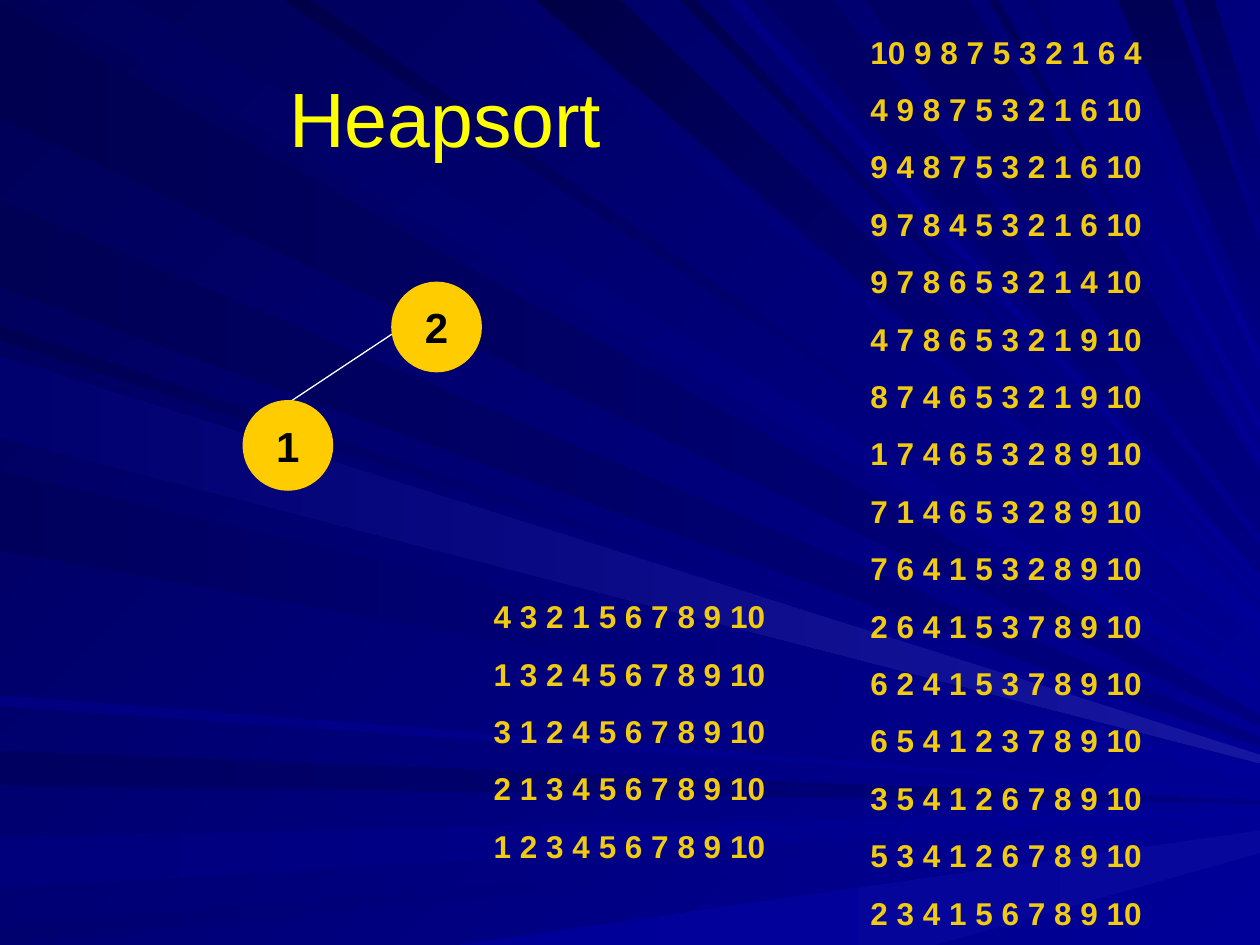
from lxml.etree import SubElement
from pptx import Presentation
from pptx.dml.color import RGBColor
from pptx.enum.shapes import MSO_CONNECTOR, MSO_SHAPE
from pptx.enum.text import MSO_ANCHOR, MSO_AUTO_SIZE, PP_ALIGN
from pptx.oxml.ns import qn
from pptx.util import Inches, Pt

FONT = "Arial"
WIDTH, HEIGHT = 10, 7.5
SCALE = Inches(0.01)

# Rays start on an edge of the slide and narrow towards a focus right of it.
FOCUS = {"left": (11.3, 6.4), "top": (11.6, 6.4), "bottom": (11.3, 6.4)}

# Each ray: edge, where it starts and ends along that edge, near and far colour.
RAYS = [
    ("left", 0.02, 0.93, "000080", "000051"),
    ("top", 0.26, 1.01, "000099", "00005C"),
    ("left", 5.96, 6.23, "000080", "000060"),
    ("left", 6.65, 7.04, "000099", "00007C"),
    ("left", 7.35, 7.5, "000099", "00006E"),
    ("bottom", 3.64, 7.42, "07079B", "000099"),
    ("left", 2.58, 2.7, "000099", "000053"),
    ("left", 1.59, 2.28, "000080", "000055"),
    ("top", 3.98, 4.16, "000099", "00006A"),
    ("top", 4.26, 4.92, "000099", "000046"),
    ("top", 5.4, 5.52, "000099", "00004E"),
    ("top", 6.06, 6.61, "000080", "000064"),
    ("top", 8.87, 9.3, "000080", "000055"),
    ("top", 9.39, 9.64, "000080", "000059"),
    ("left", 2.78, 3.42, "000099", "000060"),
    ("left", 3.74, 4.37, "000099", "00005C"),
    ("left", 5.52, 5.6, "000099", "000081"),
    ("top", 2.25, 2.47, "000099", "00004A"),
    ("top", 5.77, 5.88, "000099", "000081"),
    ("top", 6.86, 7.7, "000080", "000064"),
    ("top", 7.85, 7.92, "000099", "000057"),
    ("top", 8.15, 8.24, "000099", "00006E"),
    ("top", 8.65, 8.72, "000099", "000078"),
    ("left", 2.83, 3.47, "1616A1", "00006E"),
]

FIRST_STEPS = [
    "10 9 8 7 5 3 2 1 6 4",
    "4 9 8 7 5 3 2 1 6 10",
    "9 4 8 7 5 3 2 1 6 10",
    "9 7 8 4 5 3 2 1 6 10",
    "9 7 8 6 5 3 2 1 4 10",
    "4 7 8 6 5 3 2 1 9 10",
    "8 7 4 6 5 3 2 1 9 10",
    "1 7 4 6 5 3 2 8 9 10",
    "7 1 4 6 5 3 2 8 9 10",
    "7 6 4 1 5 3 2 8 9 10",
    "2 6 4 1 5 3 7 8 9 10",
    "6 2 4 1 5 3 7 8 9 10",
    "6 5 4 1 2 3 7 8 9 10",
    "3 5 4 1 2 6 7 8 9 10",
    "5 3 4 1 2 6 7 8 9 10",
    "2 3 4 1 5 6 7 8 9 10",
]
LAST_STEPS = [
    "4 3 2 1 5 6 7 8 9 10",
    "1 3 2 4 5 6 7 8 9 10",
    "3 1 2 4 5 6 7 8 9 10",
    "2 1 3 4 5 6 7 8 9 10",
    "1 2 3 4 5 6 7 8 9 10",
]


def color(hex_string):
    return RGBColor.from_string(hex_string)


def paint(fill, start, end=None, angle=0):
    """Fill with one colour, or with a gradient running at an anticlockwise angle."""
    if end is None:
        fill.solid()
        fill.fore_color.rgb = color(start)
        return
    fill.gradient()
    fill.gradient_angle = angle
    for stop, hex_string in zip(fill.gradient_stops, (start, end)):
        stop.color.rgb = color(hex_string)


def write(text_frame, lines, size, hex_string, bold=False, align=PP_ALIGN.LEFT,
          anchor=MSO_ANCHOR.TOP, space_before=0):
    text_frame.text = "\n".join(lines)
    text_frame.vertical_anchor = anchor
    text_frame.word_wrap = True
    for index, paragraph in enumerate(text_frame.paragraphs):
        paragraph.alignment = align
        if index and space_before:
            paragraph.space_before = Pt(space_before)
        font = paragraph.font
        font.name, font.size, font.bold = FONT, Pt(size), bold
        font.color.rgb = color(hex_string)


def ray_side(edge, position):
    """Start of one side of a ray, and the point where it leaves on the right."""
    x, y = {"left": (0, position), "top": (position, 0), "bottom": (position, HEIGHT)}[edge]
    focus_x, focus_y = FOCUS[edge]
    end_y = y + (focus_y - y) * (WIDTH - x) / (focus_x - x)
    return [(x * 100, y * 100), (WIDTH * 100, end_y * 100)]


def add_ray(shapes, edge, first, last, near, far):
    start, *others = ray_side(edge, first) + ray_side(edge, last)[::-1]
    builder = shapes.build_freeform(*start, scale=SCALE)
    builder.add_line_segments(others, close=True)
    ray = builder.convert_to_shape()
    if edge != "top":
        paint(ray.fill, near, far, 180)
    elif near == "000080":
        paint(ray.fill, far, near, 270)
    else:
        paint(ray.fill, near, far, 135)
    ray.line.fill.background()
    ray.shadow.inherit = False


def add_background(slide):
    paint(slide.background.fill, "000099", "000057", 135)
    rays = slide.shapes.add_group_shape()
    for ray in RAYS:
        add_ray(rays.shapes, *ray)
    slide.shapes.element.insert(2, rays.element)  # behind the title


def add_title(slide, text, left, top, width, height):
    title = slide.shapes.title
    title.left, title.top = Inches(left), Inches(top)
    title.width, title.height = Inches(width), Inches(height)
    write(title.text_frame, [text], 44, "FFFF00", align=PP_ALIGN.CENTER,
          anchor=MSO_ANCHOR.MIDDLE)


def add_steps(slide, steps, left, top, width, height):
    box = slide.shapes.add_textbox(Inches(left), Inches(top), Inches(width), Inches(height))
    write(box.text_frame, steps, 18, "F0CB10", bold=True, space_before=11.2)
    box.text_frame.auto_size = MSO_AUTO_SIZE.SHAPE_TO_FIT_TEXT


def add_node(slide, label, left, top, diameter):
    node = slide.shapes.add_shape(MSO_SHAPE.OVAL, Inches(left), Inches(top),
                                  Inches(diameter), Inches(diameter))
    paint(node.fill, "FFCC00")
    paint(node.line.fill, "FFCC00")
    node.line.width = Pt(0.75)
    node.shadow.inherit = False
    write(node.text_frame, [label], 24, "000000", bold=True, align=PP_ALIGN.CENTER,
          anchor=MSO_ANCHOR.MIDDLE)


def add_heap(slide, parent, child, left, top, width, height, diameter=0.71):
    """Parent node in the top right corner of the box, left child in the bottom left."""
    parent_left = left + width - diameter
    child_top = top + height - diameter
    edge = slide.shapes.add_connector(
        MSO_CONNECTOR.STRAIGHT, Inches(parent_left), Inches(top + height / 4),
        Inches(left + diameter / 2), Inches(child_top + 0.02))
    paint(edge.line.fill, "FFFFFF")
    edge.line.width = Pt(0.75)
    SubElement(edge.element.spPr, qn("a:effectLst"))
    add_node(slide, parent, parent_left, top, diameter)
    add_node(slide, child, left, child_top, diameter)


def main():
    presentation = Presentation()
    presentation.slide_width, presentation.slide_height = Inches(WIDTH), Inches(HEIGHT)
    slide = presentation.slides.add_slide(presentation.slide_layouts[5])
    add_background(slide)
    add_title(slide, "Heapsort", 0.5, 0.3, 6.07, 1.25)
    add_steps(slide, FIRST_STEPS, 6.81, 0.21, 2.84, 8.62)
    add_heap(slide, "2", "1", 1.93, 2.24, 1.89, 1.65)
    add_steps(slide, LAST_STEPS, 3.82, 4.69, 2.52, 2.23)
    presentation.save("out.pptx")


if __name__ == "__main__":
    main()
